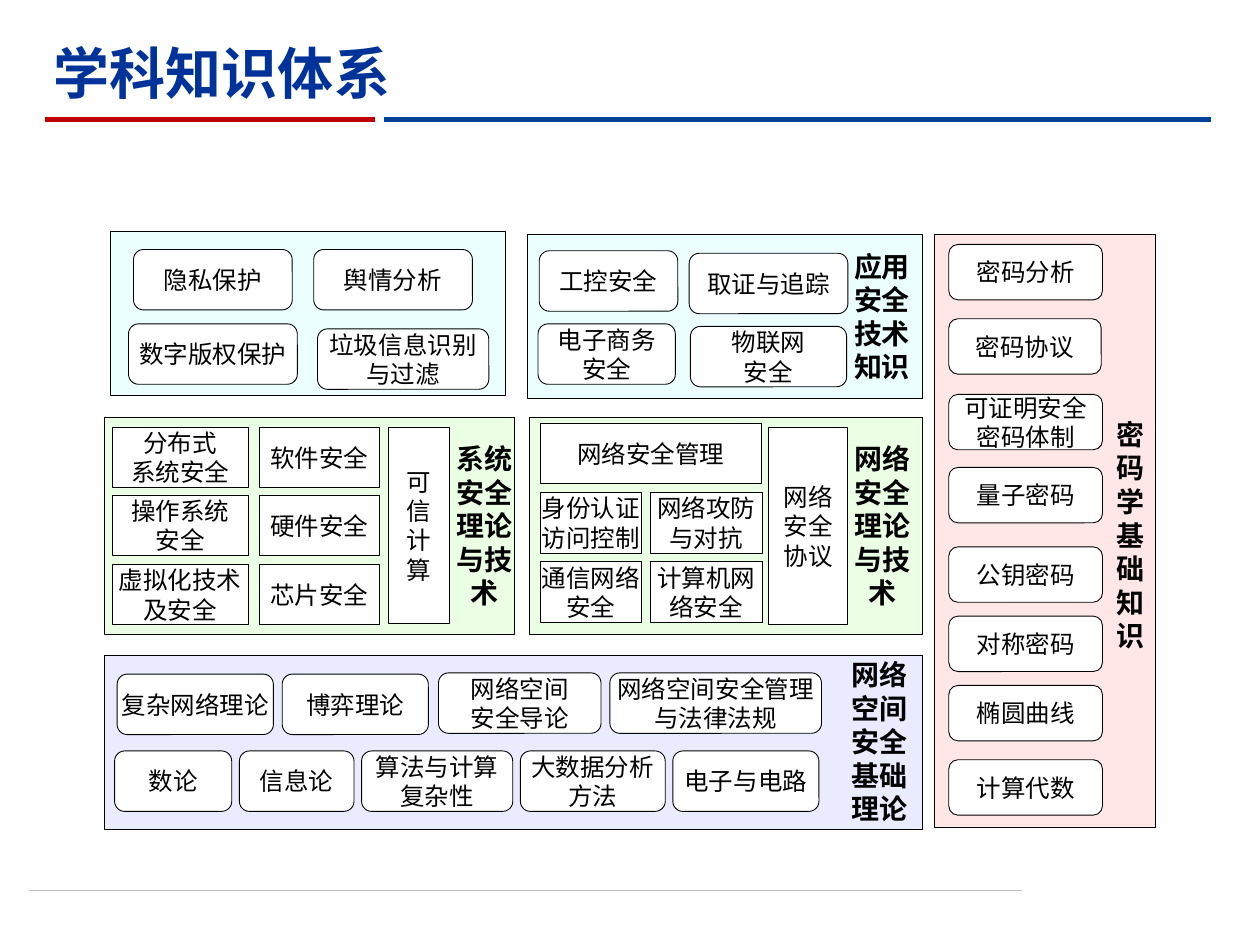
from pptx import Presentation
from pptx.dml.color import RGBColor
from pptx.enum.shapes import MSO_CONNECTOR, MSO_SHAPE
from pptx.enum.text import MSO_ANCHOR, PP_ALIGN
from pptx.oxml.ns import qn
from pptx.util import Inches, Pt
from lxml import etree

RECTANGLE = MSO_SHAPE.RECTANGLE
ROUNDED = MSO_SHAPE.ROUNDED_RECTANGLE
STRAIGHT = MSO_CONNECTOR.STRAIGHT
MIDDLE = MSO_ANCHOR.MIDDLE
CENTER, LEFT = PP_ALIGN.CENTER, PP_ALIGN.LEFT

BLACK = RGBColor(0x00, 0x00, 0x00)
WHITE = RGBColor(0xFF, 0xFF, 0xFF)
NAVY = RGBColor(0x00, 0x33, 0x99)
BLUE = RGBColor(0x00, 0x42, 0x99)
RED = RGBColor(0xC0, 0x00, 0x00)
GRAY = RGBColor(0xBF, 0xBF, 0xBF)
CYAN_TINT = RGBColor(0xEB, 0xFF, 0xFF)
VIOLET_TINT = RGBColor(0xEB, 0xEB, 0xFF)
GREEN_TINT = RGBColor(0xEB, 0xFF, 0xE5)
PINK_TINT = RGBColor(0xFF, 0xE7, 0xE7)

PANELS = [
    (0.88, 1.84, 3.13, 1.3, CYAN_TINT),
    (4.19, 1.86, 3.13, 1.3, CYAN_TINT),
    (0.83, 3.31, 3.25, 1.73, GREEN_TINT),
    (4.2, 3.31, 3.12, 1.73, GREEN_TINT),
    (0.83, 5.2, 6.49, 1.38, VIOLET_TINT),
    (7.42, 1.86, 1.75, 4.71, PINK_TINT),
]
HEADINGS = [
    (6.72, 1.94, 0.56, 1.14, "应用安全技术知识"),
    (3.57, 3.4, 0.55, 1.54, "系统安全理论与技术"),
    (6.73, 3.4, 0.55, 1.54, "网络安全理论与技术"),
    (6.67, 5.23, 0.62, 1.31, "网络空间安全基础理论"),
    (8.83, 2.43, 0.29, 3.63, "密码学基础知识"),
]
APPLICATION_TOPICS = [
    (1.06, 1.98, 1.26, "隐私保护"),
    (2.49, 1.98, 1.26, "舆情分析"),
    (1.02, 2.57, 1.34, "数字版权保护"),
    (2.52, 2.61, 1.36, "垃圾信息识别与过滤"),
    (4.28, 1.99, 1.1, "工控安全"),
    (5.47, 2.01, 1.26, "取证与追踪"),
    (4.27, 2.57, 1.09, "电子商务\n安全"),
    (5.48, 2.59, 1.24, "物联网\n安全"),
]
THEORY_TOPICS = [
    (0.93, 5.35, 1.24, "复杂网络理论"),
    (2.24, 5.35, 1.16, "博弈理论"),
    (3.48, 5.34, 1.29, "网络空间\n安全导论"),
    (4.84, 5.34, 1.68, "网络空间安全管理与法律法规"),
    (0.91, 5.96, 0.93, "数论"),
    (1.9, 5.96, 0.91, "信息论"),
    (2.87, 5.96, 1.2, "算法与计算复杂性"),
    (4.13, 5.96, 1.15, "大数据分析方法"),
    (5.34, 5.96, 1.16, "电子与电路"),
]
SYSTEM_ROWS = [
    (3.39, "分布式\n系统安全", "软件安全"),
    (3.93, "操作系统\n安全", "硬件安全"),
    (4.48, "虚拟化技术\n及安全", "芯片安全"),
]
NETWORK_ROWS = [
    (3.91, "身份认证访问控制", "网络攻防与对抗"),
    (4.46, "通信网络安全", "计算机网络安全"),
]
CRYPTO_TOPICS = [
    (1.94, 1.22, "密码分析"),
    (2.53, 1.21, "密码协议"),
    (3.13, 1.22, "可证明安全\n密码体制"),
    (3.71, 1.22, "量子密码"),
    (4.34, 1.22, "公钥密码"),
    (4.89, 1.22, "对称密码"),
    (5.44, 1.22, "椭圆曲线"),
    (6.03, 1.22, "计算代数"),
]


class SlideBuilder:
    """Draws styled elements on the current slide."""

    font_name = "Noto Sans CJK SC"
    row_height = 0.48

    def __init__(self, page):
        self.page = page

    def label(self, shape, text, size, color=BLACK, bold=False, align=CENTER, margin=True):
        frame = shape.text_frame
        frame.word_wrap = True
        frame.vertical_anchor = MIDDLE
        if not margin:
            frame.margin_left = frame.margin_right = 0
            frame.margin_top = frame.margin_bottom = 0
        frame.text = text
        for para in frame.paragraphs:
            para.alignment = align
            for span in para.runs:
                span.font.size = Pt(size)
                span.font.bold = bold
                span.font.color.rgb = color
                span.font.name = self.font_name
                east_asian = etree.SubElement(span._r.get_or_add_rPr(), qn("a:ea"))
                east_asian.set("typeface", self.font_name)

    def line(self, left, right, top, color, width):
        rule = self.page.shapes.add_connector(
            STRAIGHT, Inches(left), Inches(top), Inches(right), Inches(top))
        rule.line.color.rgb = color
        rule.line.width = Pt(width)
        etree.SubElement(rule._element.spPr, qn("a:effectLst"))

    def block(self, left, top, width, height, fill, kind=RECTANGLE):
        box = self.page.shapes.add_shape(
            kind, Inches(left), Inches(top), Inches(width), Inches(height))
        box.shadow.inherit = False
        box.fill.solid()
        box.fill.fore_color.rgb = fill
        box.line.color.rgb = BLACK
        box.line.width = Pt(0.5)
        return box

    def topic(self, left, top, width, text, height=row_height, kind=RECTANGLE):
        box = self.block(left, top, width, height, WHITE, kind)
        self.label(box, text, 14, margin=False)

    def text_box(self, left, top, width, height):
        return self.page.shapes.add_textbox(
            Inches(left), Inches(top), Inches(width), Inches(height))

    def heading(self, left, top, width, height, text):
        box = self.text_box(left, top, width, height)
        self.label(box, text, 16, bold=True, margin=False)

    def title(self, text):
        box = self.text_box(0.33, 0.21, 7.66, 0.8)
        self.label(box, text, 32, NAVY, bold=True, align=LEFT)
        box.text_frame.paragraphs[0].line_spacing = 0.9


def main():
    deck = Presentation()
    deck.slide_width, deck.slide_height = Inches(10), Inches(7.5)
    builder = SlideBuilder(deck.slides.add_slide(deck.slide_layouts[6]))

    builder.line(0.23, 8.11, 7.07, GRAY, 0.5)
    builder.line(3.05, 9.61, 0.95, BLUE, 3)
    builder.line(0.36, 2.98, 0.95, RED, 3)
    builder.title("学科知识体系")

    for panel in PANELS:
        builder.block(*panel)
    for heading in HEADINGS:
        builder.heading(*heading)

    for topic in APPLICATION_TOPICS + THEORY_TOPICS:
        builder.topic(*topic, kind=ROUNDED)
    for top, width, text in CRYPTO_TOPICS:
        builder.topic(7.53, top, width, text, height=0.44, kind=ROUNDED)

    for top, first, second in SYSTEM_ROWS:
        builder.topic(0.89, top, 1.08, first)
        builder.topic(2.06, top, 0.95, second)
    builder.topic(3.08, 3.39, 0.49, "可\n信\n计\n算", height=1.56)

    builder.topic(4.29, 3.36, 1.75, "网络安全管理")
    for top, first, second in NETWORK_ROWS:
        builder.topic(4.29, top, 0.8, first)
        builder.topic(5.16, top, 0.89, second)
    builder.topic(6.1, 3.39, 0.63, "网络\n安全\n协议", height=1.57)

    deck.save("out.pptx")


if __name__ == "__main__":
    main()
